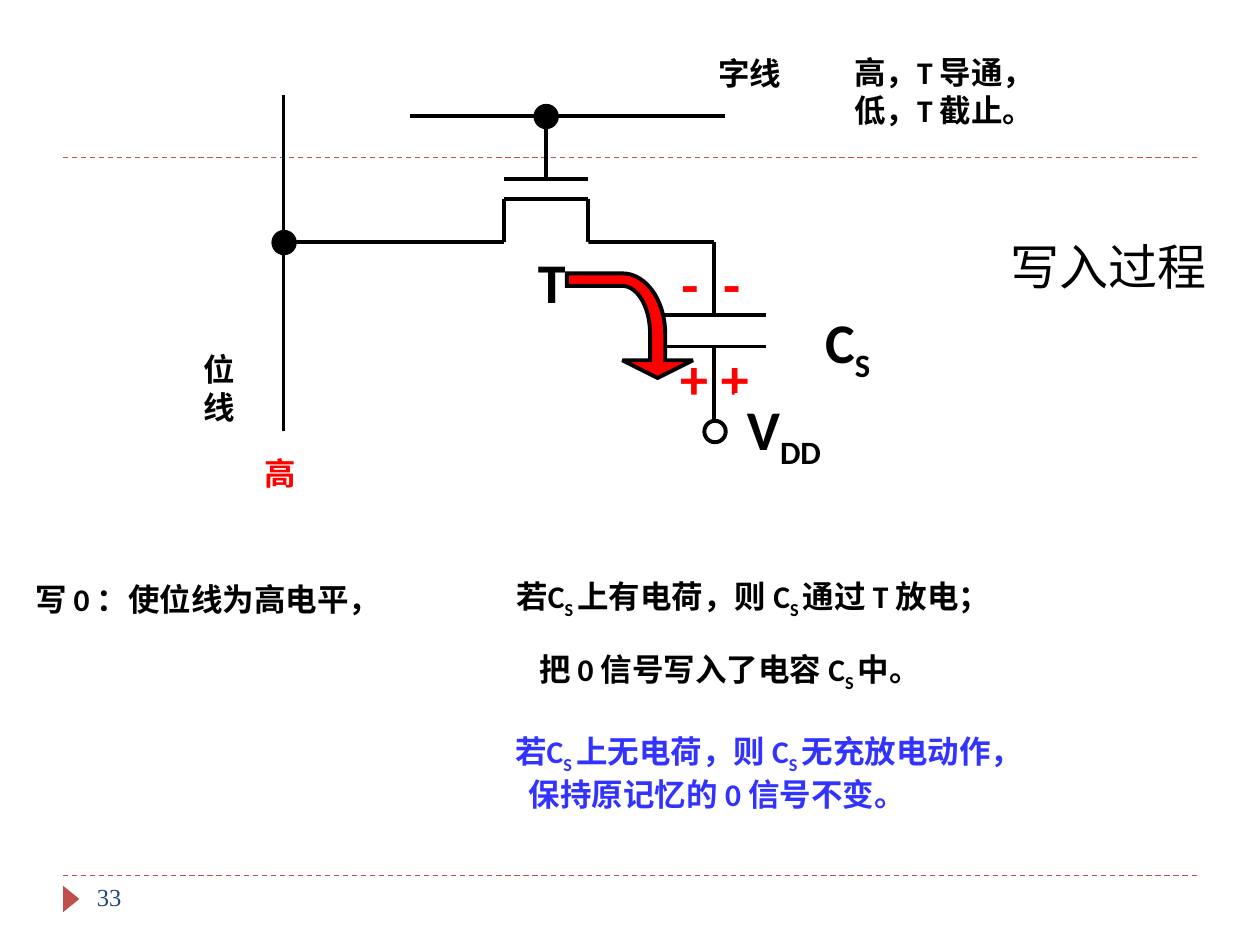
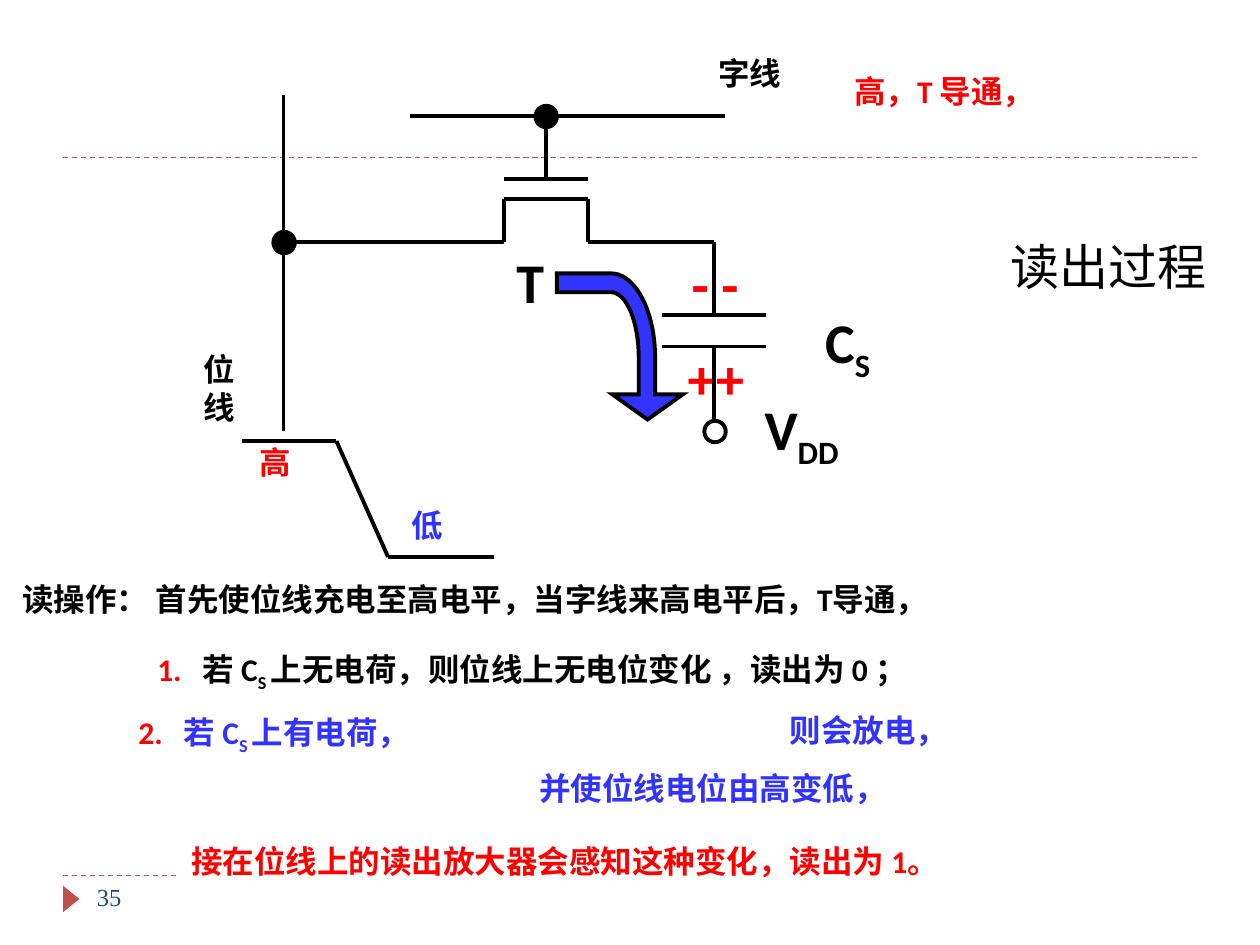
import math
import pptx
import pptx.util
import pptx.dml.color
import pptx.enum.dml
import pptx.enum.shapes
import pptx.enum.text
import pptx.oxml.ns
from lxml import etree

PX = 9144
HUES = {"ink": "000000", "paper": "FFFFFF", "red": "FF0000", "blue": "3333FF",
        "rule": "C0504D", "page": "1F497D"}
FACE = "Calibri"
BIG, BODY, HEAD, FOOT = 32, 18, 28, 14
SUB = "_"

RULES = [125, 695]
WIRES = [
    (325, 92, 575, 92), (433, 92, 433, 142), (400, 142, 467, 142),
    (400, 158, 467, 158), (400, 158, 400, 192), (400, 192, 225, 192),
    (225, 75, 225, 342), (467, 158, 467, 192), (467, 192, 567, 192),
    (525, 250, 608, 250), (525, 275, 608, 275), (567, 192, 567, 250),
    (567, 275, 567, 342),
]
NODES = [(567, 342, "paper"), (433, 92, "ink"), (225, 192, "ink")]
LABELS = [
    (645, 243, 68, 63, BIG, "ink", [["C", "_S"]]),
    (560, 33, 88, 50, BODY, "ink", [["字线"]]),
    (152, 263, 54, 90, BODY, "ink", [["位"], ["线"]]),
]

WRITE = {
    "title": "写入过程", "page": "33",
    "signs": [
        (530, 268, 82, 63, BIG, "red", [["+ +"]]),
        (531, 193, 72, 63, BIG, "red", [["-\t-"]]),
    ],
    "labels": [
        (583, 312, 94, 63, BIG, "ink", [["V", "_DD"]]),
        (417, 192, 50, 63, BIG, "ink", [["T"]]),
        (668, 27, 219, 90, BODY, "ink", [["高，T 导通，"], ["低，T 截止。"]]),
        (200, 350, 54, 50, BODY, "red", [["高"]]),
    ],
    "arrow": dict(tip=(522, 300), neck=286, outer=528, inner=516, bend=265,
                  mid=494, left=450, top=217, under=227, hue="red"),
    "notes": [
        (18, 450, 407, 50, BODY, "ink", [["写 0 ：使位线为高电平，"]]),
        (400, 450, 564, 50, BODY, "ink",
         [["若C", "_S ", "上有电荷，则 C", "_S ", "通过 T 放电；"]]),
        (399, 568, 584, 90, BODY, "blue",
         [["若C", "_S ", "上无电荷，则 C", "_S ", "无充放电动作，"],
          ["保持原记忆的 0 信号不变。"]]),
        (418, 508, 449, 50, BODY, "ink",
         [["把 0 信号写入了电容 C", "_S ", "中。"]]),
    ],
    "steps": [],
}
READ = {
    "title": "读出过程", "page": "35",
    "signs": [
        (536, 268, 71, 63, BIG, "red", [["++"]]),
        (539, 193, 61, 63, BIG, "red", [["- -"]]),
    ],
    "labels": [
        (597, 312, 94, 63, BIG, "ink", [["V", "_DD"]]),
        (400, 192, 50, 63, BIG, "ink", [["T"]]),
        (142, 658, 842, 50, BODY, "red",
         [["接在位线上的读出放大器会感知这种变化，读出为 1。"]]),
        (668, 47, 219, 50, BODY, "red", [["高，T 导通，"]]),
        (196, 342, 54, 50, BODY, "red", [["高"]]),
        (317, 392, 54, 50, BODY, "blue", [["低"]]),
    ],
    "arrow": dict(tip=(514, 333), neck=313, outer=520, inner=507, bend=284,
                  mid=485, left=442, top=217, under=232, hue="blue"),
    "notes": [
        (8, 450, 994, 50, BODY, "ink",
         [["读操作： 首先使位线充电至高电平，当字线来高电平后，T导通，"]]),
        (115, 508, 824, 50, BODY, "ink",
         [[("1.\t", "red"), "若 C", "_S ", "上无电荷，则位线上无电位变化 ，读出为 0 ；"]]),
        (100, 558, 342, 50, BODY, "blue",
         [[("2.\t", "red"), "若 C", "_S ", "上有电荷，"]]),
        (418, 600, 389, 50, BODY, "blue", [["并使位线电位由高变低，"]]),
        (617, 554, 188, 50, BODY, "blue", [["则会放电，"]]),
    ],
    "steps": [(192, 350, 267, 350), (267, 350, 308, 442), (308, 442, 392, 442)],
}
TABS = {BIG: 33, BODY: 36}
HANG = 11


def emu(*nums):
    return [round(n * PX) for n in nums]


def rgb(hue):
    return pptx.dml.color.RGBColor.from_string(HUES[hue])


def paint(shape, hue):
    shape.fill.solid()
    shape.fill.fore_color.rgb = rgb(hue)


def stroke(line, hue="ink", width=2.25):
    line.color.rgb = rgb(hue)
    line.width = pptx.util.Pt(width)


def add_tag(node, name, **attrs):
    return etree.SubElement(node, pptx.oxml.ns.qn(name), attrs)


def add_run(para, text, size, hue, bold, face=FACE):
    low = text.startswith(SUB)
    run = para.add_run()
    run.text = text.removeprefix(SUB)
    font = run.font
    font.name, font.size, font.bold = face, pptx.util.Pt(size), bold
    font.color.rgb = rgb(hue)
    if low:
        run._r.get_or_add_rPr().set("baseline", "-25000")


def add_text(slide, x, y, w, h, size, hue, paras):
    box = slide.shapes.add_textbox(*emu(x, y, w, h))
    frame = box.text_frame
    frame.word_wrap = False
    frame.auto_size = pptx.enum.text.MSO_AUTO_SIZE.SHAPE_TO_FIT_TEXT
    frame.vertical_anchor = pptx.enum.text.MSO_ANCHOR.MIDDLE
    for i, parts in enumerate(paras):
        para = frame.add_paragraph() if i else frame.paragraphs[0]
        props = para._p.get_or_add_pPr()
        pairs = [part if isinstance(part, tuple) else (part, hue) for part in parts]
        if any("\t" in text for text, _ in pairs):
            frame.word_wrap = True
            tabs = add_tag(props, "a:tabLst")
            add_tag(tabs, "a:tab", pos=str(TABS[size] * PX), algn="l")
        if i and len(paras[0]) > 1:
            props.set("marL", str(HANG * PX))
        for text, tint in pairs:
            add_run(para, text, size, tint, True)
    return box


def add_line(slide, ends, hue="ink", width=2.25):
    line = slide.shapes.add_connector(pptx.enum.shapes.MSO_CONNECTOR.STRAIGHT, *emu(*ends))
    stroke(line.line, hue, width)
    add_tag(line._element.spPr, "a:effectLst")
    return line


def add_node(slide, x, y, hue):
    dot = slide.shapes.add_shape(pptx.enum.shapes.MSO_SHAPE.OVAL, *emu(x - 8, y - 8, 17, 17))
    dot.shadow.inherit = False
    paint(dot, hue)
    stroke(dot.line)


def add_arrow(slide, tip, neck, outer, inner, bend, mid, left, top, under, hue):
    def arc(edge, peak):
        turns = [math.radians(a) for a in range(0, 91, 5)]
        return [(mid + (edge - mid) * math.cos(t), bend - (bend - peak) * math.sin(t))
                for t in turns]

    x, y = tip
    points = [(x + 28, neck), (outer, neck), *arc(outer, top), (left, top), (left, under),
              *reversed(arc(inner, under)), (inner, neck), (x - 28, neck)]
    path = slide.shapes.build_freeform(x * PX, y * PX)
    path.add_line_segments([emu(*p) for p in points], close=True)
    shape = path.convert_to_shape()
    shape.shadow.inherit = False
    paint(shape, hue)
    stroke(shape.line)
    add_tag(shape.line._get_or_add_ln(), "a:miter", lim="800000")


def add_frame(slide, title, page):
    for y in RULES:
        rule = add_line(slide, (50, y, 950, y), "rule", 0.75)
        rule.line.dash_style = pptx.enum.dml.MSO_LINE.DASH
    mark = slide.shapes.add_shape(pptx.enum.shapes.MSO_SHAPE.ISOSCELES_TRIANGLE,
                                  *emu(46, 707, 21, 13))
    mark.rotation = 90
    mark.shadow.inherit = False
    paint(mark, "rule")
    mark.line.fill.background()
    foot = slide.shapes.add_textbox(*emu(67, 695, 217, 40))
    add_run(foot.text_frame.paragraphs[0], page, FOOT, "page", False, "Times New Roman")

    head = slide.shapes.title
    head.left, head.top, head.width, head.height = emu(792, 183, 177, 57)
    frame = head.text_frame
    frame.word_wrap = False
    frame.auto_size = pptx.enum.text.MSO_AUTO_SIZE.SHAPE_TO_FIT_TEXT
    frame.vertical_anchor = pptx.enum.text.MSO_ANCHOR.TOP
    para = frame.paragraphs[0]
    para.alignment = pptx.enum.text.PP_ALIGN.LEFT
    add_run(para, title, HEAD, "ink", False)


def add_page(deck, data):
    slide = deck.slides.add_slide(deck.slide_layouts[5])
    add_frame(slide, data["title"], data["page"])
    for item in data["signs"]:
        paint(add_text(slide, *item), "paper")
    for ends in WIRES:
        add_line(slide, ends)
    for node in NODES:
        add_node(slide, *node)
    for item in LABELS + data["labels"]:
        paint(add_text(slide, *item), "paper")
    add_arrow(slide, **data["arrow"])
    for item in data["notes"]:
        add_text(slide, *item)
    for ends in data["steps"]:
        add_line(slide, ends)


def main():
    deck = pptx.Presentation()
    deck.slide_width, deck.slide_height = emu(1000, 750)
    for data in (WRITE, READ):
        add_page(deck, data)
    deck.save("out.pptx")


if __name__ == "__main__":
    main()
